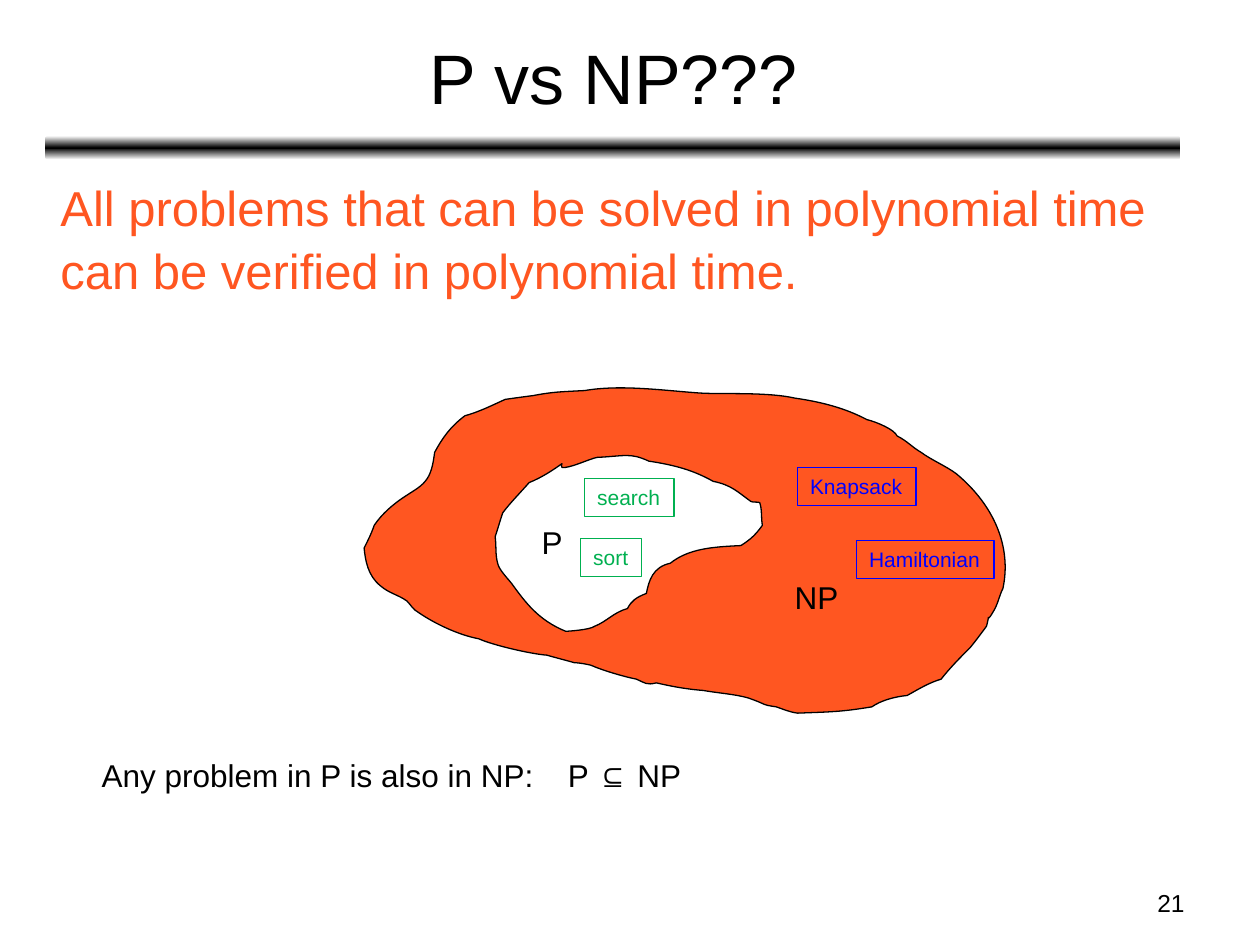
from copy import deepcopy

from lxml.etree import SubElement
from pptx import Presentation
from pptx.dml.color import RGBColor
from pptx.enum.shapes import MSO_SHAPE as Shape
from pptx.enum.text import MSO_ANCHOR as Anchor, MSO_AUTO_SIZE as AutoSize, PP_ALIGN as Align
from pptx.oxml.ns import qn
from pptx.util import Cm, Pt

BLACK = RGBColor(0x00, 0x00, 0x00)
WHITE = RGBColor(0xFF, 0xFF, 0xFF)
ORANGE = RGBColor(0xFF, 0x56, 0x21)
GREEN = RGBColor(0x00, 0xB0, 0x50)
BLUE = RGBColor(0x00, 0x00, 0xFF)
FONT = "Arial"
GRID = Cm(0.0254)

NP_START = (464, 310)
NP_CURVES = [
    (444, 311, 439, 311, 423, 314), (415, 315, 401, 317, 401, 317),
    (390, 322, 380, 327, 369, 330), (357, 339, 351, 348, 345, 359),
    (344, 366, 343, 374, 339, 380), (335, 386, 329, 389, 323, 393),
    (312, 400, 303, 408, 297, 417), (295, 423, 292, 429, 289, 435),
    (290, 445, 292, 457, 302, 465), (309, 471, 316, 472, 323, 477),
    (326, 480, 328, 484, 332, 486), (345, 495, 364, 504, 380, 507),
    (391, 512, 421, 519, 434, 520), (441, 522, 449, 524, 456, 526),
    (461, 526, 469, 528, 469, 528), (478, 532, 495, 537, 505, 539),
    (512, 542, 513, 544, 521, 542), (534, 545, 545, 547, 558, 548),
    (569, 550, 584, 551, 594, 554), (611, 560, 603, 559, 616, 561),
    (622, 563, 626, 565, 633, 566), (660, 565, 668, 565, 692, 561),
    (699, 556, 710, 553, 720, 552), (729, 547, 737, 542, 747, 539),
    (754, 530, 762, 522, 770, 514), (775, 508, 783, 497, 783, 497),
    (787, 481, 781, 498, 788, 486), (792, 480, 793, 473, 796, 467),
    (803, 434, 789, 401, 759, 376), (751, 370, 739, 365, 731, 359),
    (724, 355, 720, 350, 712, 346), (710, 341, 696, 335, 688, 333),
    (671, 324, 652, 319, 631, 316), (609, 311, 574, 313, 556, 312),
    (527, 310, 493, 305, 464, 310),
]
P_START = (446, 368)
P_CURVES = [
    (439, 373, 430, 379, 420, 383), (413, 391, 405, 399, 399, 407),
    (397, 413, 395, 420, 393, 426), (394, 433, 393, 440, 395, 447),
    (396, 452, 402, 458, 406, 463), (417, 478, 427, 492, 449, 501),
    (450, 501, 468, 500, 472, 497), (482, 493, 487, 486, 498, 483),
    (501, 477, 505, 474, 513, 471), (515, 461, 518, 450, 532, 447),
    (547, 435, 567, 434, 588, 433), (596, 428, 600, 424, 605, 417),
    (604, 411, 605, 405, 603, 399), (602, 398, 598, 399, 596, 398),
    (586, 391, 581, 385, 566, 382), (550, 373, 535, 369, 515, 366),
    (500, 359, 496, 362, 474, 363), (468, 364, 452, 372, 446, 371),
    (445, 370, 446, 369, 446, 368),
]
LABELS = [
    ("P", 10.67, 10.41, 0.94),
    ("NP", 15.77, 11.53, 1.4),
]
PROBLEMS = [
    ("search", GREEN, 11.79, 9.65, 1.8),
    ("sort", GREEN, 11.71, 10.85, 1.22),
    ("Knapsack", BLUE, 16.08, 9.42, 2.39),
    ("Hamiltonian", BLUE, 17.27, 10.9, 2.77),
]


def write(shape, text, size, color=BLACK, align=Align.LEFT, anchor=Anchor.TOP, wrap=True):
    """Write one run of text into a shape and return its paragraph."""
    frame = shape.text_frame
    frame.word_wrap = wrap
    frame.vertical_anchor = anchor
    paragraph = frame.paragraphs[0]
    paragraph.alignment = align
    run = paragraph.add_run()
    run.text = text
    run.font.name = FONT
    run.font.size = Pt(size)
    run.font.color.rgb = color
    return paragraph


def add_text(slide, box, text, size, **style):
    """Add a text box whose left, top, width and height are in centimetres."""
    return write(slide.shapes.add_textbox(*map(Cm, box)), text, size, **style)


def add_title_bar(slide):
    """Add the rounded bar that fades from black to white above and below."""
    bar = slide.shapes.add_shape(Shape.ROUNDED_RECTANGLE, Cm(0.91), Cm(2.74), Cm(22.89), Cm(0.48))
    bar.shadow.inherit = False
    bar.line.fill.background()
    bar.fill.gradient()
    bar.fill.gradient_angle = 90
    stop_list = bar.element.spPr.find(".//" + qn("a:gsLst"))
    stop_list.insert(1, deepcopy(stop_list[0]))
    for stop, position, color in zip(bar.fill.gradient_stops, (0, 0.5, 1), (WHITE, BLACK, WHITE)):
        stop.position = position
        stop.color.rgb = color


def add_region(slide, start, curves, color):
    """Add a closed outline of cubic curves, given on the hundredth-inch grid."""
    points = [curve[i:i + 2] for curve in curves for i in (0, 2, 4)]
    builder = slide.shapes.build_freeform(*start, scale=GRID)
    builder.add_line_segments(points, close=True)
    region = builder.convert_to_shape()
    segments = list(region.element.iter(qn("a:lnTo")))
    for first in range(0, len(points), 3):
        head, *rest = segments[first:first + 3]
        head.tag = qn("a:cubicBezTo")
        for segment in rest:
            head.append(segment[0])
            segment.getparent().remove(segment)
    region.shadow.inherit = False
    region.fill.solid()
    region.fill.fore_color.rgb = color
    region.line.color.rgb = BLACK
    region.line.width = Pt(0.75)


def add_problem(slide, name, color, left, top, width):
    """Add an outlined box that names one problem."""
    box = slide.shapes.add_shape(Shape.RECTANGLE, Cm(left), Cm(top), Cm(width), Cm(0.77))
    box.shadow.inherit = False
    box.fill.background()
    box.line.color.rgb = color
    box.line.width = Pt(0.75)
    write(box, name, 12, color=color, wrap=False)
    box.text_frame.auto_size = AutoSize.SHAPE_TO_FIT_TEXT


def add_conclusion(slide):
    """Add the closing statement with its formula at a tab stop."""
    paragraph = add_text(slide, (1.8, 14.81, 18.57, 1.35), "Any problem in P is also in NP:\tP ⊆ NP", 18)
    paragraph.line_spacing = 1.4
    tabs = SubElement(paragraph._p.get_or_add_pPr(), qn("a:tabLst"))
    SubElement(tabs, qn("a:tab"), pos=str(Cm(9.4)), algn="l")


def main():
    """Build the slide and save it."""
    presentation = Presentation()
    presentation.slide_width, presentation.slide_height = Cm(25.4), Cm(19.05)
    slide = presentation.slides.add_slide(presentation.slide_layouts[6])
    add_title_bar(slide)
    add_text(slide, (0.94, 0.28, 22.86, 2.51), "P vs NP???", 40, align=Align.CENTER, anchor=Anchor.MIDDLE)
    statement = add_text(
        slide, (0.97, 3.38, 22.86, 14.1),
        "All problems that can be solved in polynomial time can be verified in polynomial time.",
        28, color=ORANGE)
    statement.line_spacing = 1.07
    add_text(slide, (18.21, 17.78, 5.92, 0.89), "21", 14, align=Align.RIGHT)
    add_region(slide, NP_START, NP_CURVES, ORANGE)
    add_region(slide, P_START, P_CURVES, WHITE)
    for text, left, top, width in LABELS:
        add_text(slide, (left, top, width, 1.02), text, 18, wrap=False)
    add_conclusion(slide)
    for problem in PROBLEMS:
        add_problem(slide, *problem)
    presentation.save("out.pptx")


if __name__ == "__main__":
    main()
